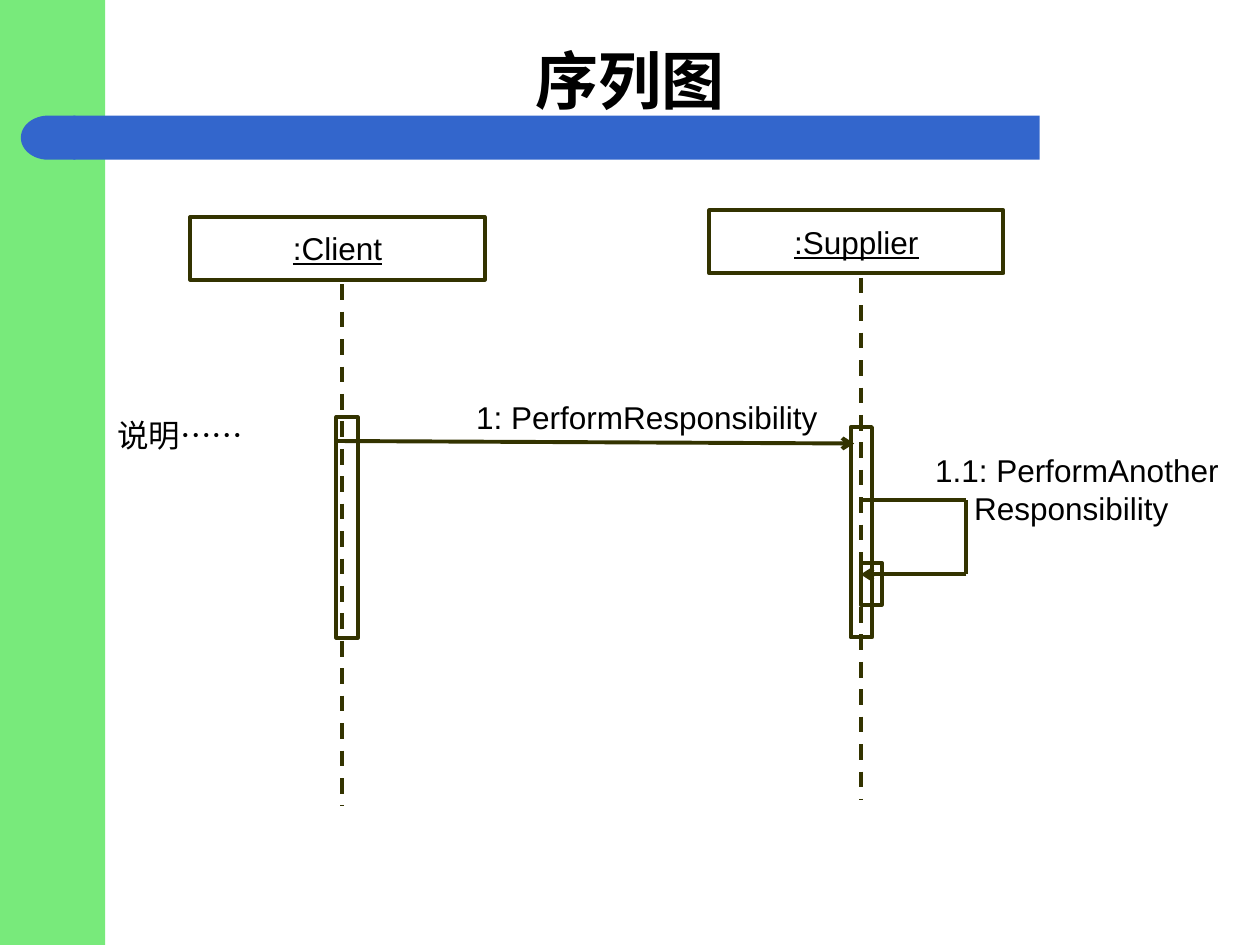
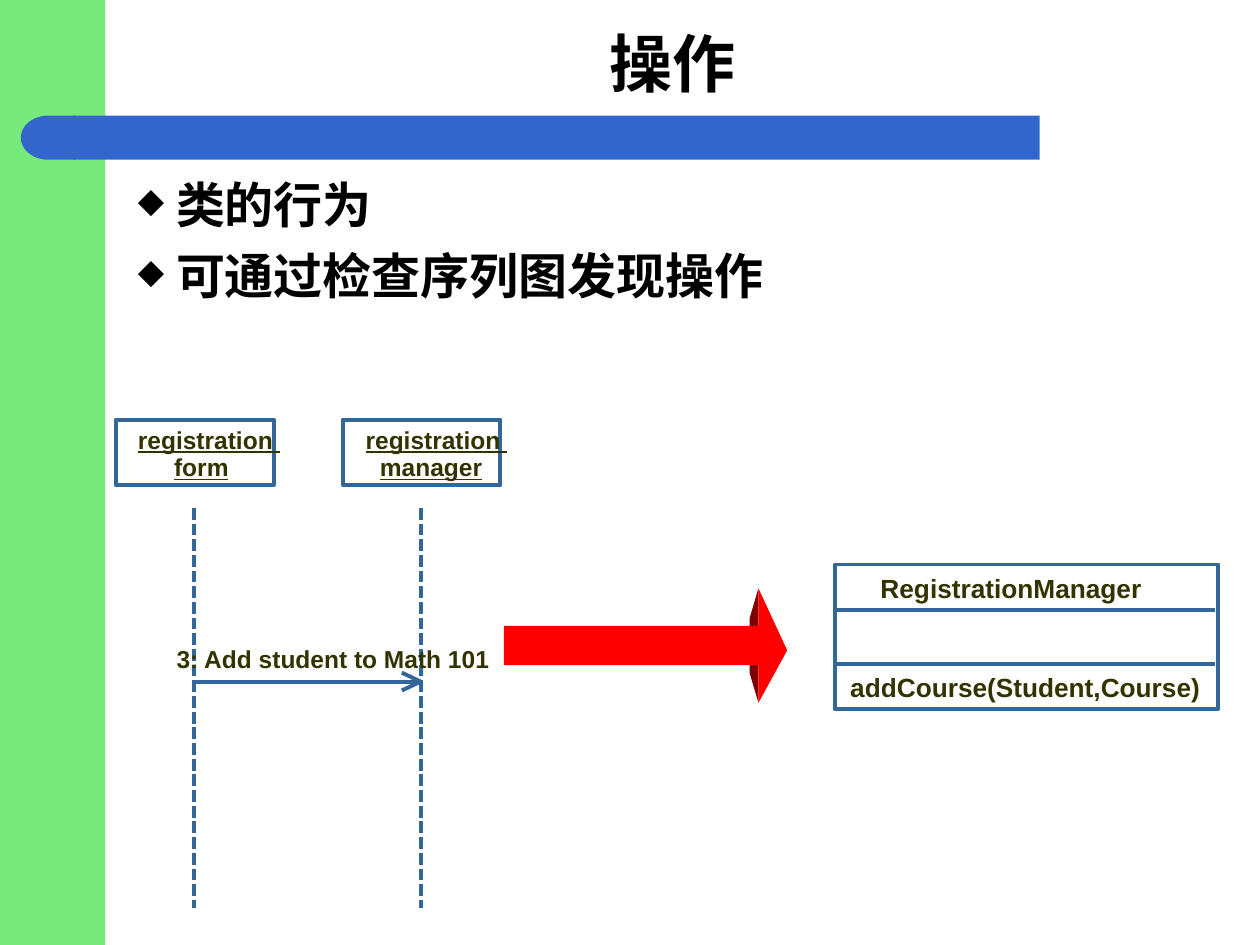
from dataclasses import dataclass

from lxml import etree
from pptx import Presentation
from pptx.dml.color import RGBColor
from pptx.enum.dml import MSO_LINE
from pptx.enum.shapes import MSO_CONNECTOR, MSO_SHAPE
from pptx.enum.text import MSO_ANCHOR, PP_ALIGN
from pptx.oxml.ns import qn
from pptx.util import Cm, Pt

RECT, DELAY = MSO_SHAPE.RECTANGLE, MSO_SHAPE.FLOWCHART_DELAY
STRAIGHT = MSO_CONNECTOR.STRAIGHT
LEFT, CENTER = PP_ALIGN.LEFT, PP_ALIGN.CENTER
TOP, MIDDLE = MSO_ANCHOR.TOP, MSO_ANCHOR.MIDDLE
DASH, SHORT_DASH = MSO_LINE.DASH, MSO_LINE.SQUARE_DOT


@dataclass(frozen=True)
class Theme:
    green: str = "78EA7B"
    blue: str = "3366CC"
    olive: str = "333300"
    steel: str = "336699"
    red: str = "FF0000"
    maroon: str = "800000"
    black: str = "000000"
    serif: str = "Times New Roman"
    sans: str = "Arial"
    title_size: int = 36
    body_size: int = 28
    message_size: int = 18
    class_size: int = 15
    object_size: int = 14
    line_width: float = 2.25
    bullet_percent: int = 70


THEME = Theme()
SLIDE_SIZE = (25.4, 19.05)
NO_INSET, INSET = (0, 0), (0.25, 0.13)

# All positions are in centimetres: left, top, width, height or x, y.
SHARED_BANDS = [
    (RECT, (0, 0, 2.12, 19.05), THEME.green, 0),
    (RECT, (1.48, 2.33, 19.48, 0.89), THEME.blue, 0),
    (DELAY, (0.42, 2.33, 1.1, 0.89), THEME.blue, 180),
]

SEQUENCE_TITLE = ("序列图", (1.9, 0.64, 21.59, 1.9))
PARTICIPANTS = [(":Client", 3.84, 4.37), (":Supplier", 14.3, 4.24)]
PARTICIPANT_SIZE = (5.93, 1.27)
LIFELINE_OFFSET, LIFELINE_LENGTH = (3.05, 1.36), 10.52
ACTIVATIONS = [
    (6.78, 8.41, 0.43, 4.45),
    (17.15, 8.61, 0.43, 4.24),
    (17.35, 11.35, 0.43, 0.84),
]
CALL = [(6.78, 8.89), (17.22, 8.94)]
SELF_CALL = [(17.35, 10.08), (19.48, 10.08), (19.48, 11.58), (17.35, 11.58)]
CALL_LABELS = [
    (["1: PerformResponsibility"], (9.6, 8.03, 8.18, 0.76)),
    (["1.1: PerformAnother", "Responsibility"], (18.85, 9.09, 5.77, 1.52)),
]
LABEL_HANGING = 0.79
REMARK = ("说明……", (2.11, 8.26, 5.03, 1.02))

OPERATION_TITLE = ("操作", (2.33, 0.42, 22.44, 1.69))
POINTS = ["类的行为", "可通过检查序列图发现操作"]
POINTS_PLACE = (2.33, 3.39, 22.66, 14.4)
POINT_MARGIN, POINT_HANGING = 0.97, 0.77
OBJECT_BOXES = [2.34, 6.91]
OBJECT_TOP, OBJECT_SIZE = 8.46, (3.18, 1.32)
OBJECT_LIFELINES, OBJECT_LIFELINE_Y = [3.91, 8.48], (10.24, 18.31)
OBJECT_LABELS = [
    ("registration ", (2.78, 8.56, 3.2, 0.58)),
    ("form", (3.51, 9.12, 1.4, 0.58)),
    ("registration ", (7.37, 8.56, 3.2, 0.58)),
    ("manager", (7.66, 9.12, 2.4, 0.58)),
]
ADD_STUDENT = ("3: Add student to Math 101", (3.56, 12.98, 6.7, 0.58))
ADD_STUDENT_Y, HEAD_LENGTH, HEAD_HALF = 13.74, 0.38, 0.18
ARROW_SHADE = [(15.29, 11.86), (15.29, 14.17), (15.11, 13.56), (15.11, 12.47)]
ARROW_FACE = [
    (15.29, 12.62), (15.29, 11.86), (15.87, 13.11), (15.29, 14.17),
    (15.29, 13.41), (10.16, 13.41), (10.16, 12.62),
]
CLASS_BOX = (16.84, 11.38, 7.72, 2.92)
CLASS_DIVIDERS, DIVIDER_END = [12.29, 13.39], 24.49
CLASS_LABELS = [
    ("RegistrationManager", (17.75, 11.53, 5.7, 0.64)),
    ("addCourse(Student,Course)", (17.14, 13.54, 7.4, 0.64)),
]


def colour(code):
    return RGBColor.from_string(code)


def lengths(values):
    return [Cm(value) for value in values]


def paint(shape, fill=None, line=None):
    shape.shadow.inherit = False
    if fill:
        shape.fill.solid()
        shape.fill.fore_color.rgb = colour(fill)
    else:
        shape.fill.background()
    if line:
        shape.line.color.rgb = colour(line)
        shape.line.width = Pt(THEME.line_width)
    else:
        shape.line.fill.background()


def add_block(page, kind, place, fill=None, line=None):
    shape = page.shapes.add_shape(kind, *lengths(place))
    paint(shape, fill, line)
    return shape


def add_outline(page, points, fill):
    start, *rest = [tuple(lengths(point)) for point in points]
    builder = page.shapes.build_freeform(*start)
    builder.add_line_segments(rest, close=True)
    paint(builder.convert_to_shape(), fill)


def add_line(page, start, end, line, dash=None, arrow=False):
    connector = page.shapes.add_connector(STRAIGHT, *lengths((*start, *end)))
    connector.line.color.rgb = colour(line)
    connector.line.width = Pt(THEME.line_width)
    if dash:
        connector.line.dash_style = dash
    if arrow:
        outline = connector.line._get_or_add_ln()
        etree.SubElement(outline, qn("a:tailEnd"), type="arrow")
    etree.SubElement(connector._element.spPr, qn("a:effectLst"))


def set_hanging(para, margin, hanging, bullet=None):
    props = para._p.get_or_add_pPr()
    props.set("marL", str(Cm(margin)))
    props.set("indent", str(-Cm(hanging)))
    if bullet:
        tint = etree.SubElement(props, qn("a:buClr"))
        etree.SubElement(tint, qn("a:srgbClr"), val=THEME.black)
        etree.SubElement(props, qn("a:buSzPct"), val=str(THEME.bullet_percent * 1000))
        etree.SubElement(props, qn("a:buChar"), char=bullet)


def add_span(para, text, size, font=THEME.sans, ink=THEME.black, bold=False,
             underline=False):
    span = para.add_run()
    span.text = text
    span.font.name = font
    span.font.size = Pt(size)
    span.font.color.rgb = colour(ink)
    span.font.bold = bold
    span.font.underline = underline


def set_frame(box, inset=NO_INSET, anchor=TOP):
    frame = box.text_frame
    frame.word_wrap = True
    frame.vertical_anchor = anchor
    frame.margin_left = frame.margin_right = Cm(inset[0])
    frame.margin_top = frame.margin_bottom = Cm(inset[1])
    return frame


def add_frame(page, place, **layout):
    return set_frame(page.shapes.add_textbox(*lengths(place)), **layout)


def add_label(page, text, place, size, underline=False):
    """Add a bold olive one-line label."""
    para = add_frame(page, place).paragraphs[0]
    para.alignment = LEFT
    add_span(para, text, size, ink=THEME.olive, bold=True, underline=underline)


def add_page(deck, title, place):
    page = deck.slides.add_slide(deck.slide_layouts[6])
    for kind, band, fill, turn in SHARED_BANDS:
        add_block(page, kind, band, fill).rotation = turn
    para = add_frame(page, place, inset=INSET, anchor=MIDDLE).paragraphs[0]
    para.alignment = CENTER
    add_span(para, title, THEME.title_size, THEME.serif, bold=True)
    return page


def build_sequence_page(deck):
    page = add_page(deck, *SEQUENCE_TITLE)
    for name, left, top in PARTICIPANTS:
        box = add_block(page, RECT, (left, top, *PARTICIPANT_SIZE), line=THEME.olive)
        para = set_frame(box, anchor=MIDDLE).paragraphs[0]
        para.alignment = CENTER
        add_span(para, name, THEME.message_size, underline=True)
        x, y = left + LIFELINE_OFFSET[0], top + LIFELINE_OFFSET[1]
        add_line(page, (x, y), (x, y + LIFELINE_LENGTH), THEME.olive, DASH)
    for place in ACTIVATIONS:
        add_block(page, RECT, place, line=THEME.olive)
    for route in (CALL, SELF_CALL):
        for start, end in zip(route, route[1:]):
            add_line(page, start, end, THEME.olive, arrow=end == route[-1])
    for rows, place in CALL_LABELS:
        para = add_frame(page, place).paragraphs[0]
        set_hanging(para, LABEL_HANGING, LABEL_HANGING)
        for index, row in enumerate(rows):
            if index:
                para.add_line_break()
            add_span(para, row, THEME.message_size)
    text, place = REMARK
    add_span(add_frame(page, place, inset=INSET).paragraphs[0], text, THEME.message_size)


def add_points(page):
    frame = add_frame(page, POINTS_PLACE, inset=INSET)
    for index, point in enumerate(POINTS):
        para = frame.add_paragraph() if index else frame.paragraphs[0]
        if index:
            para.space_before = Pt(7)
        set_hanging(para, POINT_MARGIN, POINT_HANGING, "◆")
        add_span(para, point, THEME.body_size, THEME.serif, bold=True)


def build_operation_page(deck):
    page = add_page(deck, *OPERATION_TITLE)
    add_points(page)

    for left, x in zip(OBJECT_BOXES, OBJECT_LIFELINES):
        add_block(page, RECT, (left, OBJECT_TOP, *OBJECT_SIZE), line=THEME.steel)
        top, bottom = OBJECT_LIFELINE_Y
        add_line(page, (x, top), (x, bottom), THEME.steel, SHORT_DASH)
    for text, place in OBJECT_LABELS:
        add_label(page, text, place, THEME.object_size, underline=True)

    sender, receiver = OBJECT_LIFELINES
    tip = (receiver, ADD_STUDENT_Y)
    add_line(page, (sender, ADD_STUDENT_Y), tip, THEME.steel)
    for side in (HEAD_HALF, -HEAD_HALF):
        barb = (receiver - HEAD_LENGTH, ADD_STUDENT_Y + side)
        add_line(page, tip, barb, THEME.steel)
    add_label(page, *ADD_STUDENT, THEME.object_size)

    add_outline(page, ARROW_SHADE, THEME.maroon)
    add_outline(page, ARROW_FACE, THEME.red)

    add_block(page, RECT, CLASS_BOX, line=THEME.steel)
    for y in CLASS_DIVIDERS:
        add_line(page, (CLASS_BOX[0], y), (DIVIDER_END, y), THEME.steel)
    for text, place in CLASS_LABELS:
        add_label(page, text, place, THEME.class_size)


def main():
    deck = Presentation()
    deck.slide_width, deck.slide_height = lengths(SLIDE_SIZE)
    build_sequence_page(deck)
    build_operation_page(deck)
    deck.save("out.pptx")


if __name__ == "__main__":
    main()
